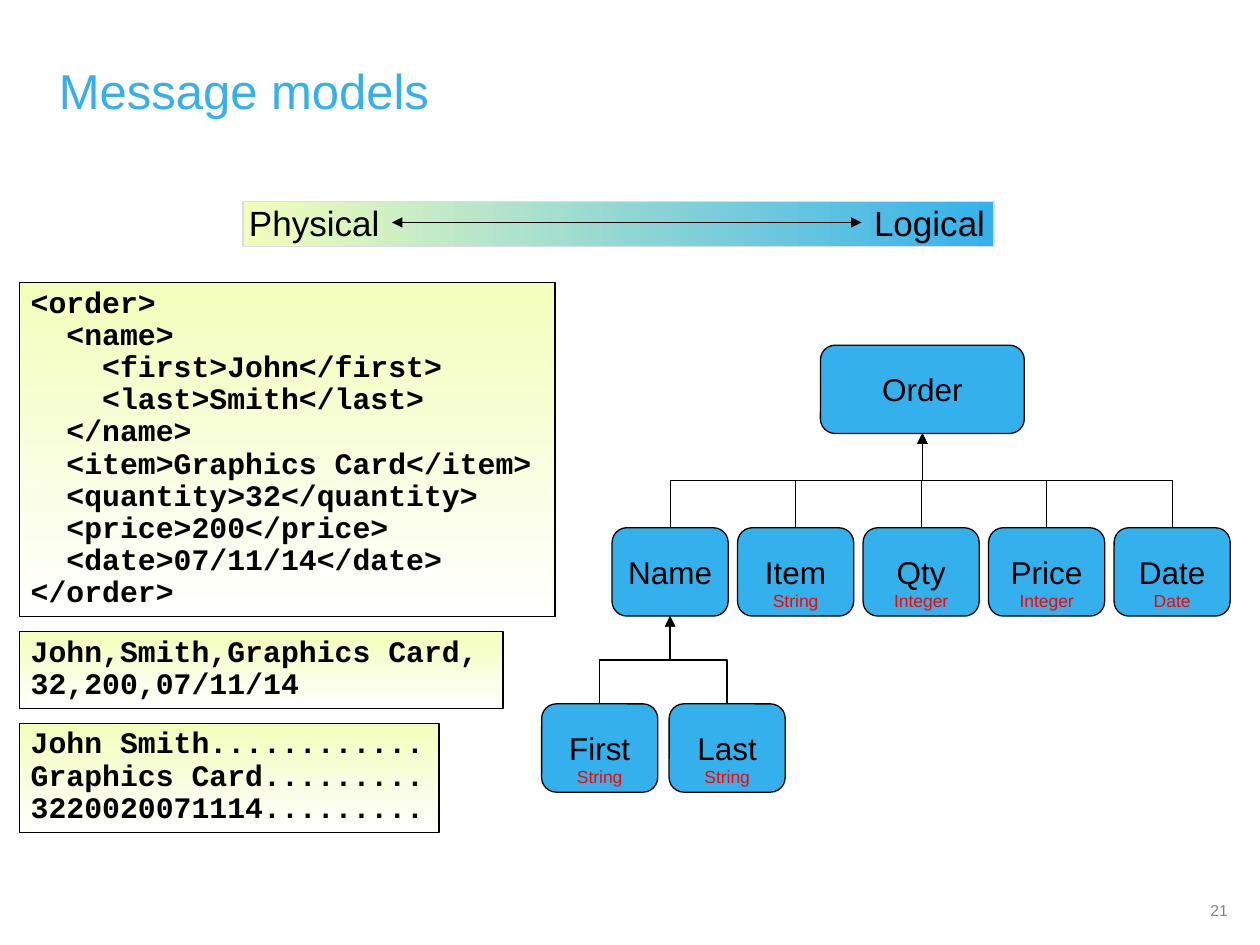
from lxml import etree
from pptx import Presentation
from pptx.dml.color import RGBColor
from pptx.enum.shapes import MSO_CONNECTOR as Link, MSO_SHAPE as Shape
from pptx.enum.text import MSO_ANCHOR as Anchor, PP_ALIGN as Align
from pptx.oxml.ns import qn
from pptx.util import Cm, Pt

BLACK, BLUE, YELLOW, WHITE = "000000", "34B1EC", "F3FEBA", "FFFFFF"
RED, GREY, PALE = "FF0000", "808080", "DADCEC"

XML_ORDER = """<order>
  <name>
    <first>John</first>
    <last>Smith</last>
  </name>
  <item>Graphics Card</item>
  <quantity>32</quantity>
  <price>200</price>
  <date>07/11/14</date>
</order>"""
CSV_ORDER = "John,Smith,Graphics Card,\n32,200,07/11/14"
FIXED_ORDER = "John Smith............\nGraphics Card.........\n3220020071114........."

NODE_W, NODE_H = 2.34, 1.78
TYPE_W, TYPE_H = 1.6, 0.69


def color(hex_string):
    """Turn a hex string into a colour."""
    return RGBColor.from_string(hex_string)


def write(shape, text, size, ink=BLACK, font="Arial", bold=False,
          align=Align.LEFT, anchor=Anchor.TOP, wrap=True, spacing=1.0):
    """Fill a shape with one formatted paragraph."""
    frame = shape.text_frame
    frame.word_wrap = wrap
    frame.vertical_anchor = anchor
    paragraph = frame.paragraphs[0]
    paragraph.text = text
    paragraph.alignment = align
    paragraph.line_spacing = spacing
    for run in paragraph.runs:
        run.font.size = Pt(size)
        run.font.name = font
        run.font.bold = bold
        run.font.color.rgb = color(ink)


def add_label(slide, box, text, size, **style):
    """Add a text box at left, top, width, height in centimetres."""
    label = slide.shapes.add_textbox(*map(Cm, box))
    write(label, text, size, **style)
    return label


def add_panel(slide, kind, box, outline=BLACK):
    """Add an outlined shape without shadow."""
    panel = slide.shapes.add_shape(kind, *map(Cm, box))
    panel.shadow.inherit = False
    panel.line.color.rgb = color(outline)
    panel.line.width = Pt(0.75)
    return panel


def fade(panel, start, end, angle):
    """Give a panel a two-colour linear gradient."""
    panel.fill.gradient()
    panel.fill.gradient_angle = angle
    for stop, (position, tint) in zip(panel.fill.gradient_stops, ((0, start), (1, end))):
        stop.position = position
        stop.color.rgb = color(tint)


def join(slide, kind, source, source_side, target, target_side, arrow_ends):
    """Join two shapes with a thin black arrow."""
    link = slide.shapes.add_connector(kind, 0, 0, 0, 0)
    link.begin_connect(source, source_side)
    link.end_connect(target, target_side)
    link.line.color.rgb = color(BLACK)
    link.line.width = Pt(0.75)
    outline = link.line._get_or_add_ln()
    for end in arrow_ends:
        etree.SubElement(outline, qn(f"a:{end}"), type="triangle")
    etree.SubElement(link._element.spPr, qn("a:effectLst"))
    return link


def join_to_parent(slide, child, parent):
    """Draw an elbow that rises from a child's top to its parent's bottom."""
    link = join(slide, Link.ELBOW, child, 0, parent, 2, ["tailEnd"])
    start_x, end_x = link.begin_x, link.end_x
    run, rise = abs(end_x - start_x), link.begin_y - link.end_y
    middle_y = (link.begin_y + link.end_y) // 2
    link.left, link.top = (start_x + end_x - rise) // 2, middle_y - run // 2
    link.width, link.height = rise, run
    xfrm = link._element.spPr.find(qn("a:xfrm"))
    for flip in ("flipH", "flipV"):
        xfrm.attrib.pop(flip, None)
    if end_x >= start_x:
        xfrm.set("rot", "16200000")
    else:
        xfrm.set("rot", "5400000")
        xfrm.set("flipH", "1")


def add_scale(slide, left, top, width, height):
    """Draw the bar that runs from physical to logical."""
    bar = add_panel(slide, Shape.RECTANGLE, (left, top, width, height), PALE)
    fade(bar, YELLOW, BLUE, 0)
    label_top = top - 0.12
    physical = add_label(slide, (left - 0.18, label_top, 3.18, 1.09), "Physical", 20,
                         align=Align.RIGHT)
    logical = add_label(slide, (left + width - 2.67, label_top, 2.95, 1.09), "Logical", 20)
    join(slide, Link.STRAIGHT, physical, 3, logical, 1, ["headEnd", "tailEnd"])


def add_messages(slide, left, top):
    """Stack the three physical forms of the order."""
    for text, width, height in ((XML_ORDER, 10.8, 6.73), (CSV_ORDER, 9.75, 1.55),
                                (FIXED_ORDER, 8.46, 2.21)):
        message = add_panel(slide, Shape.RECTANGLE, (left, top, width, height))
        fade(message, YELLOW, WHITE, 270)
        frame = message.text_frame
        frame.margin_left = frame.margin_right = Cm(0.23)
        frame.margin_top = frame.margin_bottom = Cm(0.1)
        write(message, text, 17, font="Courier New", bold=True, spacing=0.9)
        top += height + 0.3


def add_node(slide, left, top, name, width=NODE_W):
    """Draw one element of the model."""
    node = add_panel(slide, Shape.ROUNDED_RECTANGLE, (left, top, width, NODE_H))
    node.fill.solid()
    node.fill.fore_color.rgb = color(BLUE)
    write(node, name, 18, align=Align.CENTER, anchor=Anchor.MIDDLE, wrap=False)
    return node


def add_children(slide, left, top, pitch, parent, fields):
    """Draw a row of typed elements below their parent."""
    nodes = []
    for index, (name, type_name) in enumerate(fields):
        node_left = left + index * pitch
        node = add_node(slide, node_left, top, name)
        join_to_parent(slide, node, parent)
        if type_name:
            type_box = (node_left + (NODE_W - TYPE_W) / 2, top + 1.13, TYPE_W, TYPE_H)
            add_label(slide, type_box, type_name, 10, ink=RED, align=Align.CENTER,
                      wrap=False)
        nodes.append(node)
    return nodes


def add_model(slide, left, top):
    """Draw the logical tree of the order."""
    order = add_node(slide, left + 5.62, top, "Order", 4.11)
    name = add_children(slide, left + 1.42, top + 3.68, 2.53, order, (
        ("Name", None), ("Item", "String"), ("Qty", "Integer"),
        ("Price", "Integer"), ("Date", "Date")))[0]
    add_children(slide, left, top + 7.23, 2.57, name,
                 (("First", "String"), ("Last", "String")))


def main():
    """Build and save the slide."""
    deck = Presentation()
    deck.slide_width, deck.slide_height = Cm(25.4), Cm(19.05)
    slide = deck.slides.add_slide(deck.slide_layouts[6])
    add_label(slide, (0.94, 1, 21.23, 1.73), "Message models", 28, ink=BLUE,
              anchor=Anchor.MIDDLE, spacing=0.95)
    add_scale(slide, 4.9, 4.06, 15.14, 0.91)
    add_messages(slide, 0.39, 5.7)
    add_model(slide, 10.92, 6.96)
    add_label(slide, (23.9, 18.03, 1.35, 0.86), "21", 9, ink=GREY, align=Align.CENTER)
    deck.save("out.pptx")


if __name__ == "__main__":
    main()
